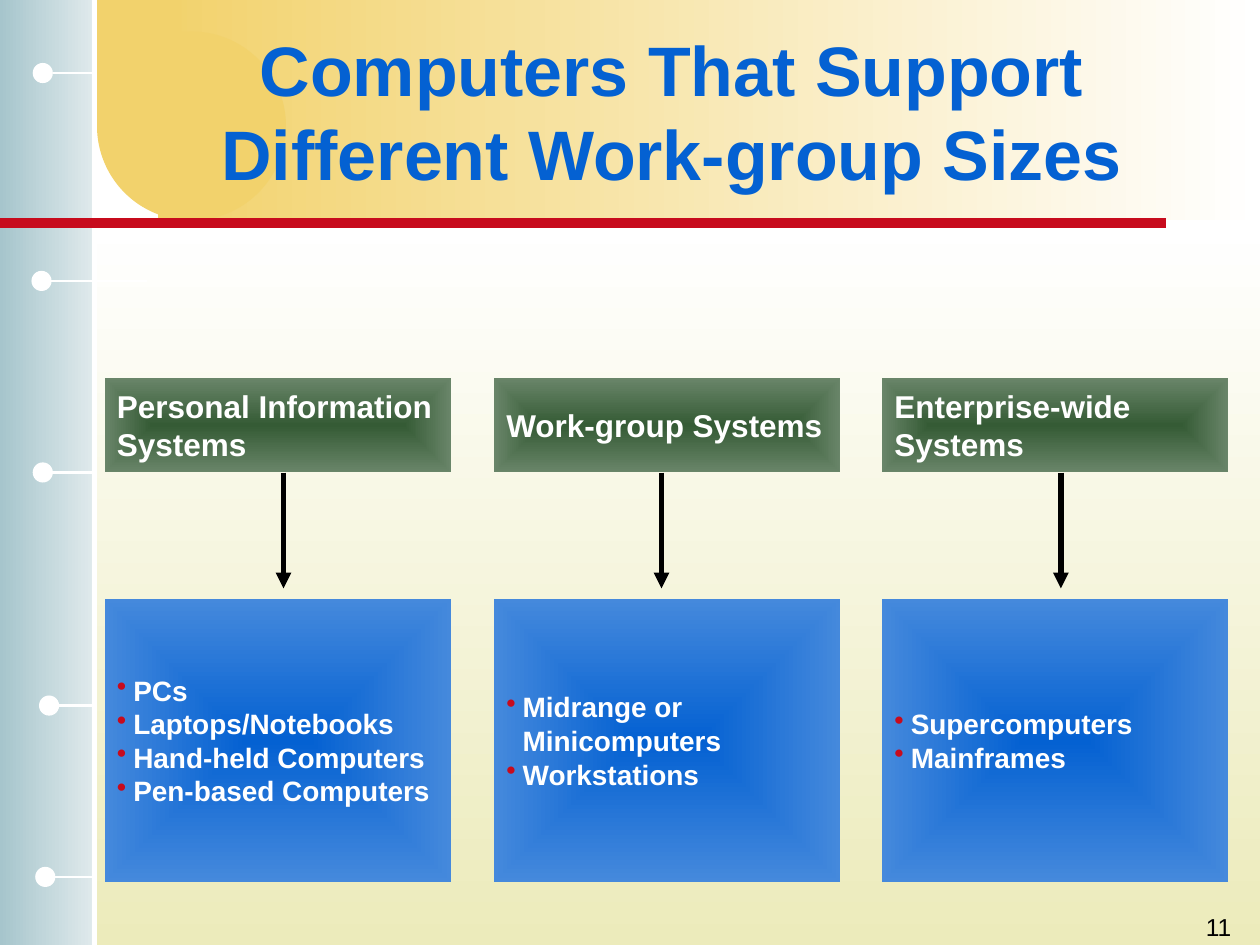
"""Build the slide on computers for work groups of different sizes."""
from dataclasses import dataclass

from lxml.etree import SubElement as Sub
from pptx import Presentation
from pptx.dml.color import RGBColor as Rgb
from pptx.enum.shapes import MSO_CONNECTOR as Link, MSO_SHAPE as Form
from pptx.enum.text import MSO_ANCHOR as Anchor, PP_ALIGN as Align
from pptx.oxml.ns import qn
from pptx.util import Inches, Pt


@dataclass(frozen=True)
class Theme:
    font: str = "Arial"
    white: str = "FFFFFF"
    black: str = "000000"
    blue: str = "0461D2"
    red: str = "C70B1D"
    gold: str = "F2D26C"
    field: tuple = ("FFFFFF", "ECEBBB")
    rail: tuple = ("E0EAEC", "A6C5CC")
    band: tuple = ("FFFFFF", "F2D26C")
    head: tuple = ("355B35", "698569")
    body: tuple = ("0461D2", "4589DC")
    title_size: int = 40
    head_size: int = 18
    body_size: int = 16
    page_size: int = 14


THEME = Theme()
RAILS = [(2.23, 0.33, 1.17, 0.25), (0.58, 0.42, 0.75, 0.26),
         (3.75, 0.4, 0.73, 0.26), (5.6, 0.42, 0.75, 0.31),
         (6.96, 0.4, 0.73, 0.28)]
GROUPS = [
    (0.83, 2.25, ["Personal Information", "Systems"],
     ["PCs", "Laptops/Notebooks", "Hand-held Computers",
      "Pen-based Computers"]),
    (3.92, 5.25, ["Work-group Systems"],
     ["Midrange or\vMinicomputers", "Workstations"]),
    (7, 8.42, ["Enterprise-wide", "Systems"],
     ["Supercomputers", "Mainframes"]),
]


def apply(item, values):
    """Set each named value on an item."""
    for name, value in values.items():
        setattr(item, name, value)


def blend(shape, pair, angle=None):
    """Fill with two colours, along an angle or out from the centre."""
    fill = shape.fill
    fill.gradient()
    for stop, tone in zip(fill.gradient_stops, pair):
        stop.color.rgb = Rgb.from_string(tone)
    if angle is not None:
        fill.gradient_angle = angle
        return
    grad = shape._element.spPr.find(qn("a:gradFill"))
    grad.remove(grad.find(qn("a:lin")))
    route = Sub(grad, qn("a:path"), {"path": "rect"})
    Sub(route, qn("a:fillToRect"), dict.fromkeys("ltrb", "50000"))


def add_form(slide, box, paint, form=Form.RECTANGLE, angle=None):
    """Add an unlined shape in a plain colour or a blend."""
    shape = slide.shapes.add_shape(form, *map(Inches, box))
    shape.shadow.inherit = False
    shape.line.fill.background()
    if isinstance(paint, tuple):
        blend(shape, paint, angle)
    else:
        shape.fill.solid()
        shape.fill.fore_color.rgb = Rgb.from_string(paint)
    return shape


def add_line(slide, start, end, tone, width, arrow=False):
    """Add a straight line, with an arrowhead at its end if asked."""
    line = slide.shapes.add_connector(
        Link.STRAIGHT, *map(Inches, (*start, *end)))
    line.line.color.rgb = Rgb.from_string(tone)
    line.line.width = Pt(width)
    props = line._element.spPr
    if arrow:
        Sub(props.find(qn("a:ln")), qn("a:tailEnd"), {"type": "triangle"})
    Sub(props, qn("a:effectLst"))


def add_bullet(para):
    """Give a paragraph a red bullet and a hanging indent."""
    props = para._p.get_or_add_pPr()
    gap = Inches(0.13)
    props.set("marL", str(gap))
    props.set("indent", str(-gap))
    tone = Sub(props, qn("a:buClr"))
    Sub(tone, qn("a:srgbClr"), {"val": THEME.red})
    Sub(props, qn("a:buChar"), {"char": "•"})


def write(shape, lines, size, tone, bold=True, align=Align.LEFT,
          anchor=Anchor.MIDDLE, wrap=True, bullet=False):
    """Write the lines as paragraphs in a shape."""
    frame = shape.text_frame
    apply(frame, {"word_wrap": wrap, "vertical_anchor": anchor})
    look = {"name": THEME.font, "size": Pt(size), "bold": bold}
    for i, text in enumerate(lines):
        para = frame.add_paragraph() if i else frame.paragraphs[0]
        para.text = text
        para.alignment = align
        if bullet:
            add_bullet(para)
        for run in para.runs:
            apply(run.font, look)
            run.font.color.rgb = Rgb.from_string(tone)


def add_text(slide, box, text, size, tone, **style):
    """Add a text box with one paragraph."""
    shape = slide.shapes.add_textbox(*map(Inches, box))
    write(shape, [text], size, tone, **style)


def add_decor(slide):
    """Add the backdrop, the title band and the side rail."""
    add_form(slide, (0.73, 1.77, 9.27, 5.73), THEME.field, angle=270)
    add_form(slide, (0, 0, 0.75, 7.5), THEME.rail, angle=180)
    add_form(slide, (1.25, 0, 8.75, 1.75), THEME.band, angle=180)
    add_form(slide, (0.77, 0.25, 1.5, 1.5), THEME.gold, Form.OVAL)
    add_form(slide, (0.77, 0, 0.67, 0.96), THEME.gold)
    add_line(slide, (0.75, 0), (0.75, 7.5), THEME.white, 3)
    dot = 0.16
    for y, left, right, x in RAILS:
        add_line(slide, (right, y), (left, y), THEME.white, 1.5)
        add_form(slide, (x, y - dot / 2, dot, dot), THEME.white, Form.OVAL)
    add_line(slide, (0, 1.77), (9.25, 1.77), THEME.red, 6)


def add_group(slide, left, mid, head, items):
    """Add a heading box, its arrow and its list box."""
    top = add_form(slide, (left, 3, 2.75, 0.75), THEME.head)
    write(top, head, THEME.head_size, THEME.white, wrap=False)
    base = add_form(slide, (left, 4.75, 2.75, 2.25), THEME.body)
    write(base, items, THEME.body_size, THEME.white, wrap=False, bullet=True)
    add_line(slide, (mid, 3.75), (mid, 4.67), THEME.black, 3, arrow=True)


def main():
    """Build and save the slide."""
    deck = Presentation()
    apply(deck, {"slide_width": Inches(10), "slide_height": Inches(7.5)})
    slide = deck.slides.add_slide(deck.slide_layouts[6])
    add_decor(slide)
    add_text(slide, (1.08, 0.25, 8.5, 1.25),
             "Computers That Support Different Work-group Sizes",
             THEME.title_size, THEME.blue, align=Align.CENTER)
    for group in GROUPS:
        add_group(slide, *group)
    add_text(slide, (7.79, 7.19, 2.08, 0.5), "11", THEME.page_size,
             THEME.black, bold=False, align=Align.RIGHT, anchor=Anchor.TOP)
    deck.save("out.pptx")


if __name__ == "__main__":
    main()
